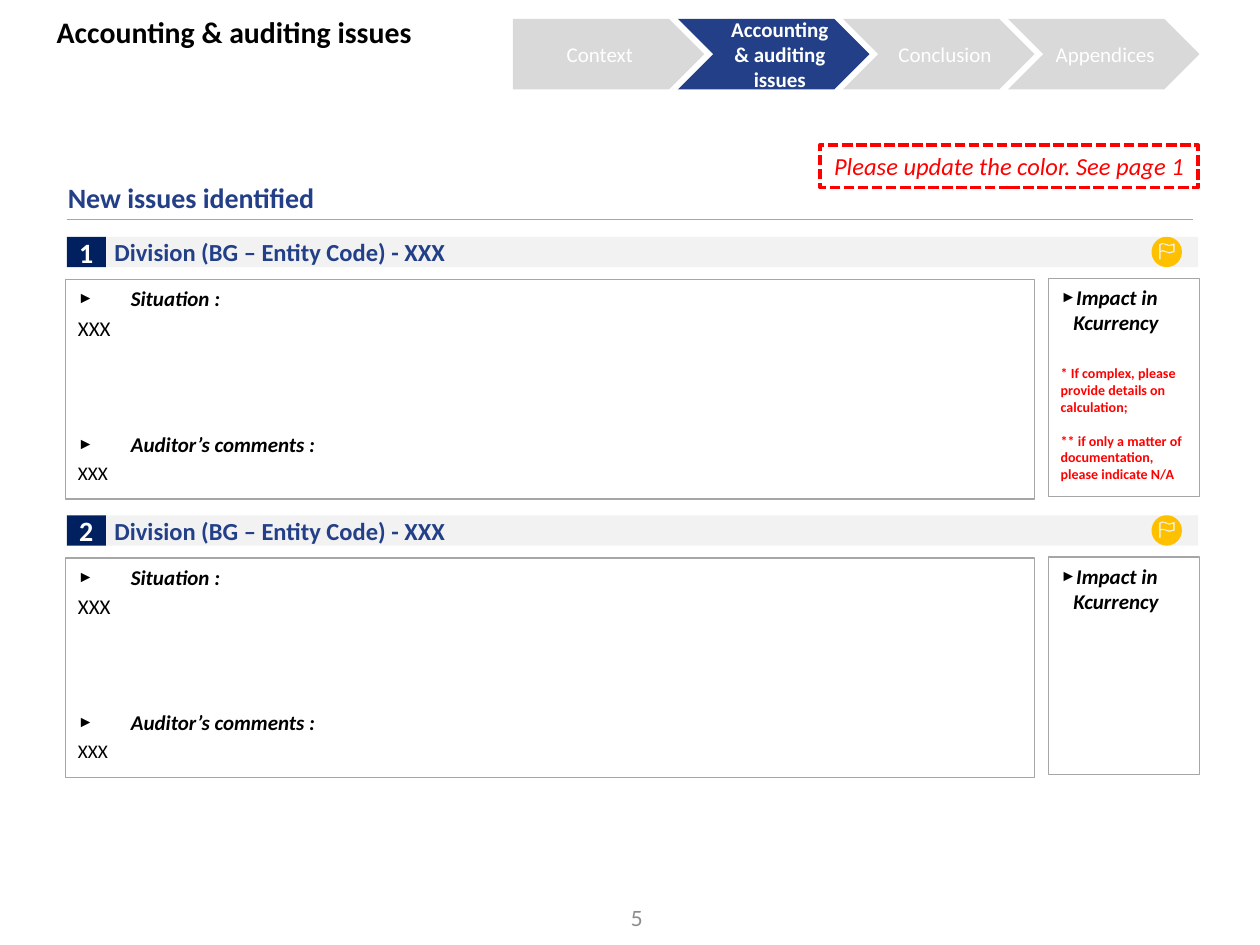
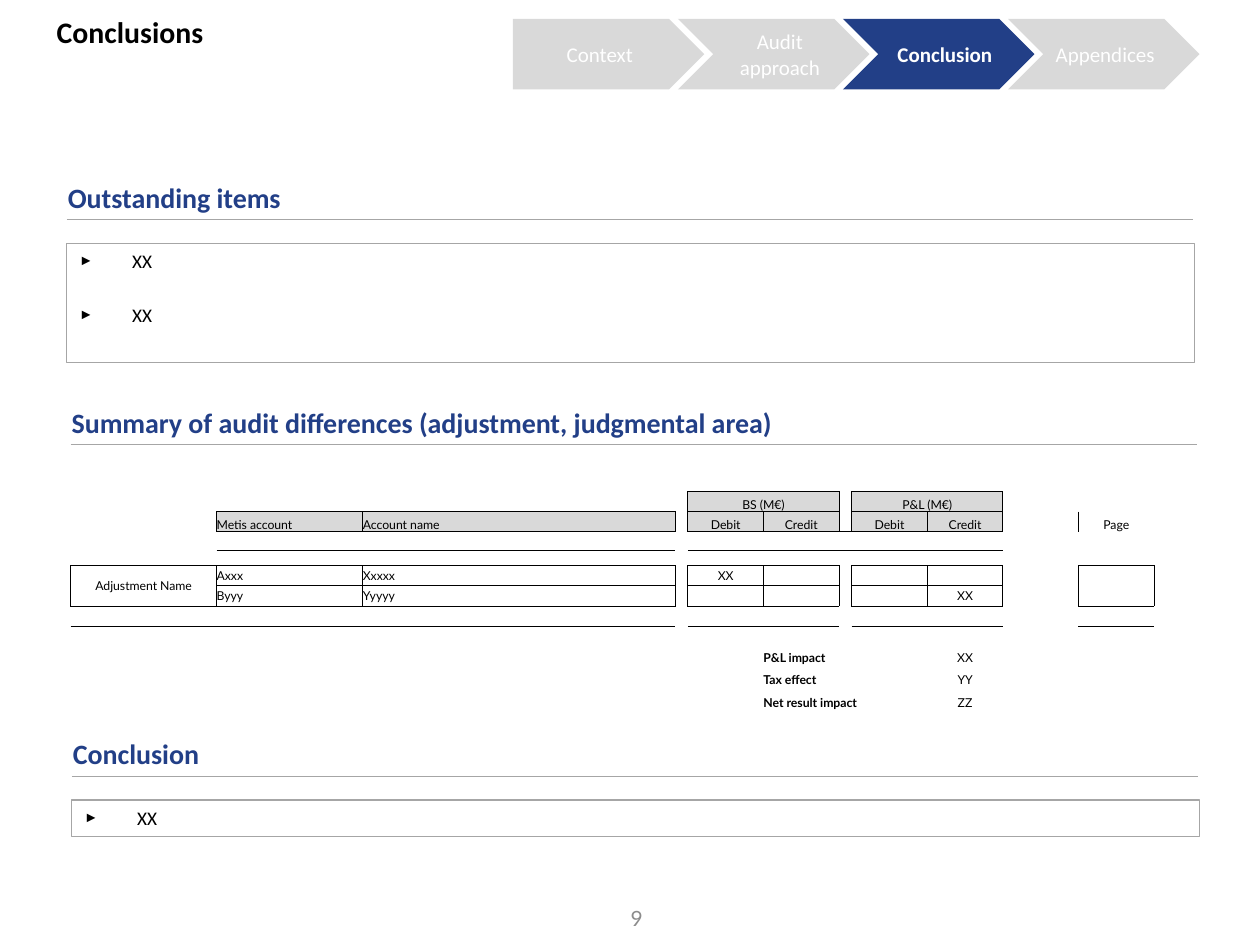
from itertools import accumulate, product
from math import cos, pi, sin

from lxml.etree import SubElement
from pptx import Presentation
from pptx.dml.color import RGBColor
from pptx.enum.dml import MSO_LINE
from pptx.enum.shapes import MSO_CONNECTOR, MSO_SHAPE
from pptx.enum.text import MSO_ANCHOR, MSO_AUTO_SIZE, PP_ALIGN
from pptx.oxml import parse_xml
from pptx.oxml.ns import nsdecls, qn
from pptx.util import Inches, Pt

BLACK = RGBColor(0x00, 0x00, 0x00)
WHITE = RGBColor(0xFF, 0xFF, 0xFF)
BLUE = RGBColor(0x22, 0x3F, 0x87)
NAVY = RGBColor(0x00, 0x20, 0x60)
PALE = RGBColor(0xF2, 0xF2, 0xF2)
SILVER = RGBColor(0xD9, 0xD9, 0xD9)
GREY = RGBColor(0xA6, 0xA6, 0xA6)
DIM = RGBColor(0x8C, 0x8C, 0x8C)
RED = RGBColor(0xFF, 0x00, 0x00)
AMBER = RGBColor(0xFF, 0xC0, 0x00)

# Flag outlines in thousandths of an inch
FLAG = [(60, 58), (85, 48), (115, 56), (140, 64), (182, 52), (182, 122), (140, 132),
        (115, 124), (90, 116), (72, 120), (72, 180), (60, 180)]
CLOTH = [(72, 65), (90, 58), (113, 66), (140, 75), (170, 67), (170, 113), (140, 121),
         (115, 113), (92, 106), (72, 109)]

WIDTHS = [1.16, 1.16, 2.48, 0.1, 0.6, 0.6, 0.1, 0.6, 0.6, 0.6, 0.6]
HEIGHTS = [0.16, 0.16, 0.15, 0.12, 0.16, 0.16, 0.16, 0.16, 0.18, 0.18, 0.18]
CELLS = {
    (0, 4): "BS (M€)", (0, 7): "P&L (M€)", (0, 10): "Page",
    (1, 1): "Metis account", (1, 2): "Account name",
    (1, 4): "Debit", (1, 5): "Credit", (1, 7): "Debit", (1, 8): "Credit",
    (4, 0): "Adjustment Name", (4, 1): "Axxx", (4, 2): "Xxxxx", (4, 4): "XX",
    (5, 1): "Byyy", (5, 2): "Yyyyy", (5, 8): "XX",
    (8, 5): "P&L impact", (8, 8): "XX",
    (9, 5): "Tax effect", (9, 8): "YY",
    (10, 5): "Net result impact", (10, 8): "ZZ",
}
# First row, first column, last row, last column
SPANS = [(0, 4, 0, 5), (0, 7, 0, 8), (0, 10, 1, 10), (2, 4, 2, 8),
         (4, 0, 5, 0), (4, 10, 5, 10), (8, 5, 8, 6), (10, 5, 10, 7)]
HEADS = [(0, 4, 0, 5), (0, 7, 0, 8), (1, 1, 1, 2), (1, 4, 1, 5), (1, 7, 1, 8)]
FRAMES = HEADS + [(4, 0, 5, 0), (4, 1, 5, 2), (4, 4, 5, 5), (4, 7, 5, 8), (4, 10, 5, 10)]


def part(text, size=12, color=BLACK, bold=False, slant=False, indent=0, before=0,
         font="Calibri", align=PP_ALIGN.LEFT):
    """Describe one paragraph; an indent gives it an arrow bullet."""
    return dict(text=text, size=size, color=color, bold=bold, slant=slant,
                indent=indent, before=before, font=font, align=align)


def style(para, text, size, color, bold, slant, indent, before, font, align):
    para.text = text
    para.alignment = align
    if indent:
        props = para._p.get_or_add_pPr()
        props.set("marL", str(Inches(indent)))
        props.set("indent", str(-Inches(indent)))
        SubElement(props, qn("a:buSzPct"), val="75000")
        SubElement(props, qn("a:buFont"), typeface="Arial")
        SubElement(props, qn("a:buChar"), char="►")
    if before:
        para.space_before = Pt(before)
    for run in para.runs:
        run.font.name = font
        run.font.size = Pt(size)
        run.font.color.rgb = color
        run.font.bold = bold
        run.font.italic = slant


def write(frame, parts, anchor=MSO_ANCHOR.TOP):
    frame.word_wrap = True
    frame.auto_size = MSO_AUTO_SIZE.NONE
    frame.vertical_anchor = anchor
    for i, item in enumerate(parts):
        style(frame.paragraphs[0] if i == 0 else frame.add_paragraph(), **item)


def block(top, left, bottom, right):
    return product(range(top, bottom + 1), range(left, right + 1))


def edges(top, left, bottom, right):
    """Yield the outer edges of a block, seen from the cells on both sides."""
    for row in range(top, bottom + 1):
        yield from [(row, left, "L"), (row, left - 1, "R"),
                    (row, right, "R"), (row, right + 1, "L")]
    for col in range(left, right + 1):
        yield from [(top, col, "T"), (top - 1, col, "B"),
                    (bottom, col, "B"), (bottom + 1, col, "T")]


class Deck:
    def __init__(self):
        self.show = Presentation()
        self.show.slide_width = Inches(10)
        self.show.slide_height = Inches(7.5)

    def start(self, title, page, steps, current):
        """Add a slide with its title, page number and progress arrows."""
        self.slide = self.show.slides.add_slide(self.show.slide_layouts[5])
        head = self.slide.shapes.title
        head.left, head.top = Inches(0.35), Inches(0.06)
        head.width, head.height = Inches(9.17), Inches(0.93)
        write(head.text_frame, [part(title, 17, bold=True)])
        self.label(2.95, 7.09, 2.25, 0.4, MSO_ANCHOR.MIDDLE,
                   part(page, 12, DIM, font="Lato", align=PP_ALIGN.RIGHT))
        for i, step in enumerate(steps):
            active = i == current
            last = i == len(steps) - 1
            arrow = self.box(4.07 + 1.31 * i, 0.15, 1.52, 0.56,
                             [part(step, 12, WHITE, active,
                                   align=PP_ALIGN.LEFT if last else PP_ALIGN.CENTER)],
                             fill=BLUE if active else SILVER, anchor=MSO_ANCHOR.MIDDLE,
                             kind=MSO_SHAPE.CHEVRON if i else MSO_SHAPE.PENTAGON)
            frame = arrow.text_frame
            frame.margin_top = frame.margin_bottom = Inches(0.1)
            frame.margin_right = Inches(0 if i else 0.1)

    def label(self, left, top, width, height, anchor, item):
        text = self.slide.shapes.add_textbox(Inches(left), Inches(top),
                                             Inches(width), Inches(height))
        write(text.text_frame, [item], anchor)

    def box(self, left, top, width, height, parts, fill=None, line=None, weight=0.75,
            anchor=MSO_ANCHOR.TOP, kind=MSO_SHAPE.RECTANGLE):
        shape = self.slide.shapes.add_shape(kind, Inches(left), Inches(top),
                                            Inches(width), Inches(height))
        self.paint(shape, fill, line, weight)
        write(shape.text_frame, parts, anchor)
        return shape

    def paint(self, shape, fill, line=None, weight=0.75):
        shape.shadow.inherit = False
        if fill is None:
            shape.fill.background()
        else:
            shape.fill.solid()
            shape.fill.fore_color.rgb = fill
        if line is None:
            shape.line.fill.background()
        else:
            shape.line.color.rgb = line
            shape.line.width = Pt(weight)

    def section(self, left, top, text):
        """Add a section heading with a rule under it."""
        self.label(left, top, 9.08, 0.45, MSO_ANCHOR.TOP,
                   part(text, 16, BLUE, True, align=PP_ALIGN.JUSTIFY))
        start, level = left + 0.09, Inches(top + 0.36)
        rule = self.slide.shapes.add_connector(MSO_CONNECTOR.STRAIGHT, Inches(start), level,
                                               Inches(start + 8.94), level)
        rule.line.color.rgb = GREY
        rule.line.width = Pt(0.5)
        SubElement(rule._element.spPr, qn("a:effectLst"))

    def flag(self, left, top):
        """Add a round badge with a flag cut out of it."""
        ring = [(120 + 120 * cos(pi * i / 24), 120 + 120 * sin(pi * i / 24))
                for i in range(48)]
        pen = self.slide.shapes.build_freeform(*ring[0], scale=Inches(1) / 1000)
        pen.add_line_segments(ring[1:])
        for path in (FLAG, CLOTH):
            pen.move_to(*path[0])
            pen.add_line_segments(path[1:])
        self.paint(pen.convert_to_shape(Inches(left), Inches(top)), AMBER)

    def issue(self, number, top, notes):
        self.box(0.81, top, 8.7, 0.24,
                 [part("Division (BG – Entity Code) - XXX", 14, BLUE, True)],
                 fill=PALE, anchor=MSO_ANCHOR.MIDDLE)
        self.box(0.53, top, 0.31, 0.24, [part(str(number), 16, WHITE, True)],
                 fill=NAVY, anchor=MSO_ANCHOR.MIDDLE)
        self.flag(9.14, top)
        self.box(0.52, top + 0.34, 7.69, 1.74, [
            part("Situation :", bold=True, slant=True, indent=0.42),
            part("XXX", before=2.4),
            part("Auditor’s comments :", bold=True, slant=True, indent=0.42, before=52),
            part("XXX", 11, before=2.4),
        ], line=GREY)
        impact = part("Impact in Kcurrency", bold=True, slant=True, indent=0.1)
        self.box(8.32, top + 0.33, 1.2, 1.73, [impact] + notes, line=GREY)

    def table(self, left, top):
        frame = self.slide.shapes.add_table(
            len(HEIGHTS), len(WIDTHS), Inches(left), Inches(top),
            Inches(list(accumulate(WIDTHS))[-1]), Inches(list(accumulate(HEIGHTS))[-1]))
        grid = frame.table
        grid.first_row = grid.horz_banding = False
        for tag in frame._element.iter(qn("a:tableStyleId")):
            tag.text = "{2D5ABB26-0587-4C30-8999-92F81FD0307C}"
        for col, width in zip(grid.columns, WIDTHS):
            col.width = Inches(width)
        for row, height in zip(grid.rows, HEIGHTS):
            row.height = Inches(height)
        shaded = {spot for head in HEADS for spot in block(*head)}
        drawn = {edge for frame in FRAMES for edge in edges(*frame)}
        for row, col in product(range(len(HEIGHTS)), range(len(WIDTHS))):
            self.cell(grid.cell(row, col), row, col, (row, col) in shaded,
                      [side for side in "LRTB" if (row, col, side) in drawn])
        for r1, c1, r2, c2 in SPANS:
            grid.cell(r1, c1).merge(grid.cell(r2, c2))

    def cell(self, cell, row, col, shaded, sides):
        cell.margin_left = cell.margin_right = cell.margin_top = cell.margin_bottom = 0
        cell.vertical_anchor = MSO_ANCHOR.BOTTOM if row < 2 else MSO_ANCHOR.MIDDLE
        if shaded:
            cell.fill.solid()
            cell.fill.fore_color.rgb = SILVER
        else:
            cell.fill.background()
        para = cell.text_frame.paragraphs[0]
        total = row >= 8 and col == 5
        if (row, col) in CELLS:
            flush = col in (1, 2) or total
            style(para, **part(CELLS[row, col], 7, bold=total, font="Lato",
                               align=PP_ALIGN.LEFT if flush else PP_ALIGN.CENTER))
        else:
            SubElement(para._p, qn("a:endParaRPr"), sz="600")
        props = cell._tc.get_or_add_tcPr()
        for i, side in enumerate(sides):
            props.insert(i, parse_xml(
                f'<a:ln{side} {nsdecls("a")} w="{Pt(0.5)}"><a:solidFill>'
                f'<a:srgbClr val="{BLACK}"/></a:solidFill></a:ln{side}>'))


def issues(deck):
    name = "Accounting & auditing issues"
    deck.start(name, "5", ["Context", name, "Conclusion", "Appendices"], 1)
    deck.section(0.44, 1.38, "New issues identified")
    alert = deck.box(6.51, 1.15, 3, 0.34,
                     [part("Please update the color. See page 1", 14, RED, slant=True,
                           align=PP_ALIGN.CENTER)], line=RED, weight=2)
    alert.line.dash_style = MSO_LINE.SQUARE_DOT
    alert.text_frame.margin_left = alert.text_frame.margin_right = Inches(0.05)
    notes = [
        part("* If complex, please provide details on calculation;", 8, RED, True, before=17),
        part("** if only a matter of documentation, please indicate N/A", 8, RED, True,
             before=9.8),
    ]
    deck.issue(1, 1.88, notes)
    deck.issue(2, 4.09, [])


def closing(deck):
    deck.start("Conclusions", "9", ["Context", "Audit approach", "Conclusion", "Appendices"], 2)
    deck.section(0.44, 1.38, "Outstanding items")
    deck.box(0.53, 1.93, 8.95, 0.95,
             [part("XX", 11, indent=0.42), part("XX", 11, indent=0.42, before=17.4)],
             line=GREY)
    deck.section(0.47, 3.17, "Summary of audit differences (adjustment, judgmental area)")
    deck.table(0.56, 3.9)
    deck.section(0.48, 5.8, "Conclusion")
    deck.box(0.57, 6.35, 8.95, 0.29, [part("XX", 11, indent=0.42)], line=GREY)


def main():
    deck = Deck()
    issues(deck)
    closing(deck)
    deck.show.save("out.pptx")


if __name__ == "__main__":
    main()
